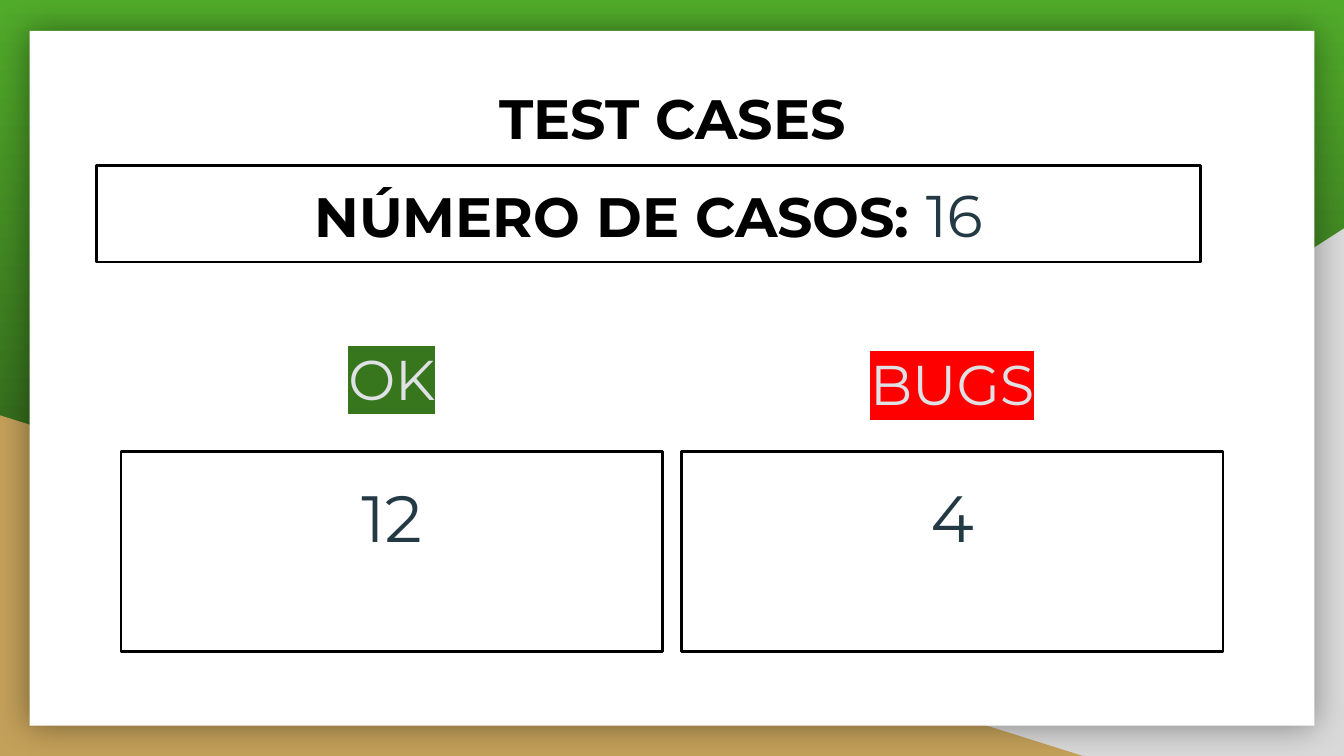
from dataclasses import dataclass

from lxml import etree
from pptx import Presentation
from pptx.dml.color import RGBColor
from pptx.enum.shapes import MSO_SHAPE
from pptx.enum.text import MSO_ANCHOR, MSO_AUTO_SIZE, PP_ALIGN
from pptx.oxml.ns import qn
from pptx.shapes.autoshape import Shape
from pptx.slide import Slide
from pptx.text.text import Font
from pptx.util import Inches, Pt

RECTANGLE = MSO_SHAPE.RECTANGLE
RIGHT_TRIANGLE = MSO_SHAPE.RIGHT_TRIANGLE
TOP, MIDDLE = MSO_ANCHOR.TOP, MSO_ANCHOR.MIDDLE
CENTER = PP_ALIGN.CENTER
NO_AUTOFIT = MSO_AUTO_SIZE.NONE


@dataclass(frozen=True)
class Theme:
    font: str = "Montserrat"
    green_top: str = "51AB2A"
    green_bottom: str = "203E13"
    gray: str = "D9D9D9"
    tan: str = "C4A15A"
    white: str = "FFFFFF"
    black: str = "000000"
    number: str = "233A44"
    label: str = "E0E1E5"
    ok: str = "38761D"
    bugs: str = "FF0000"
    heading_size: float = 29.7
    label_size: float = 30
    total_size: float = 31.5
    count_size: float = 35
    outline_width: float = 1.5


@dataclass(frozen=True)
class Box:
    left: float
    top: float
    width: float
    height: float


@dataclass(frozen=True)
class Result:
    label: str
    count: str
    highlight: str
    left: float
    label_top: float


THEME = Theme()
SLIDE_WIDTH = 10
SLIDE_HEIGHT = SLIDE_WIDTH * 9 / 16
ROW_HEIGHT = 0.72
HEADING_WIDTH = 8.21
RESULT_WIDTH = 4.03
COUNT_TOP, COUNT_HEIGHT = 3.36, 1.49
RESULTS = (
    Result("OK", "12", THEME.ok, 0.9, 2.45),
    Result("BUGS", "4", THEME.bugs, 5.07, 2.49),
)


def rgb(color: str) -> RGBColor:
    return RGBColor.from_string(color)


def style(font: Font, size: float, color: str, bold: bool = False) -> None:
    font.name = THEME.font
    font.size = Pt(size)
    font.bold = bold
    font.color.rgb = rgb(color)


def place(shape: Shape, box: Box) -> None:
    shape.left, shape.top = Inches(box.left), Inches(box.top)
    shape.width, shape.height = Inches(box.width), Inches(box.height)


def prepare_text(shape: Shape, anchor: MSO_ANCHOR = MIDDLE) -> None:
    frame = shape.text_frame
    frame.word_wrap = True
    frame.auto_size = NO_AUTOFIT
    frame.vertical_anchor = anchor
    frame.margin_left = frame.margin_right = Inches(0.1)
    frame.margin_top = frame.margin_bottom = Inches(0.1)
    frame.paragraphs[0].alignment = CENTER


def add_filled(slide: Slide, kind: MSO_SHAPE, box: Box, color: str) -> Shape:
    shape = slide.shapes.add_shape(kind, 0, 0, 0, 0)
    place(shape, box)
    shape.shadow.inherit = False
    shape.fill.solid()
    shape.fill.fore_color.rgb = rgb(color)
    shape.line.fill.background()
    return shape


def add_outlined(slide: Slide, box: Box, anchor: MSO_ANCHOR = MIDDLE) -> Shape:
    shape = slide.shapes.add_shape(RECTANGLE, 0, 0, 0, 0)
    place(shape, box)
    shape.shadow.inherit = False
    shape.fill.background()
    shape.line.color.rgb = rgb(THEME.black)
    shape.line.width = Pt(THEME.outline_width)
    etree.SubElement(shape.element.spPr.find(qn("a:ln")), qn("a:round"))
    prepare_text(shape, anchor)
    return shape


def add_glow_shadow(shape: Shape) -> None:
    """Spread a soft shadow evenly around the shape."""
    effects = shape.element.spPr.find(qn("a:effectLst"))
    shadow = etree.SubElement(effects, qn("a:outerShdw"), blurRad=str(Pt(18)),
                              dist="0", dir="0", algn="ctr", rotWithShape="0")
    color = etree.SubElement(shadow, qn("a:srgbClr"), val=THEME.black)
    etree.SubElement(color, qn("a:alpha"), val="40000")


def draw_backdrop(slide: Slide) -> None:
    fill = slide.background.fill
    fill.gradient()
    fill.gradient_angle = 270
    for stop, color in zip(fill.gradient_stops, (THEME.green_top, THEME.green_bottom)):
        stop.color.rgb = rgb(color)
    gray_top, tan_top = 1.7, 3.09
    gray_corner = add_filled(slide, RIGHT_TRIANGLE,
                             Box(3.92, gray_top, 6.08, SLIDE_HEIGHT - gray_top), THEME.gray)
    gray_corner.element.spPr.find(qn("a:xfrm")).set("flipH", "1")
    add_filled(slide, RIGHT_TRIANGLE,
               Box(0, tan_top, 8.06, SLIDE_HEIGHT - tan_top), THEME.tan)
    panel = add_filled(slide, RECTANGLE, Box(0.22, 0.23, 9.56, 5.17), THEME.white)
    add_glow_shadow(panel)


def draw_title(slide: Slide) -> None:
    """Fill the title placeholder and bring it in front of the backdrop."""
    title = slide.shapes.title
    slide.shapes[-1].element.addnext(title.element)
    place(title, Box(0.9, 0.51, HEADING_WIDTH, ROW_HEIGHT))
    title.text_frame.text = "TEST CASES"
    prepare_text(title)
    style(title.text_frame.paragraphs[0].font, THEME.heading_size, THEME.black, bold=True)


def draw_total(slide: Slide) -> None:
    total = add_outlined(slide, Box(0.72, 1.23, HEADING_WIDTH, ROW_HEIGHT))
    paragraph = total.text_frame.paragraphs[0]
    caption, number = paragraph.add_run(), paragraph.add_run()
    caption.text, number.text = "NÚMERO DE CASOS: ", "16"
    style(caption.font, THEME.heading_size, THEME.black, bold=True)
    style(number.font, THEME.total_size, THEME.number)


def draw_count(slide: Slide, result: Result) -> None:
    count = add_outlined(
        slide, Box(result.left, COUNT_TOP, RESULT_WIDTH, COUNT_HEIGHT), TOP)
    paragraph = count.text_frame.paragraphs[0]
    paragraph.add_run().text = result.count
    paragraph.line_spacing = 1.15
    paragraph.space_after = Pt(12)
    style(paragraph.font, THEME.count_size, THEME.number)


def draw_label(slide: Slide, result: Result) -> None:
    label = slide.shapes.add_textbox(0, 0, 0, 0)
    place(label, Box(result.left, result.label_top, RESULT_WIDTH, ROW_HEIGHT))
    prepare_text(label)
    paragraph = label.text_frame.paragraphs[0]
    style(paragraph.font, THEME.label_size, THEME.label)
    run = paragraph.add_run()
    run.text = result.label
    highlight = etree.SubElement(run._r.get_or_add_rPr(), qn("a:highlight"))
    etree.SubElement(highlight, qn("a:srgbClr"), val=result.highlight)


def main() -> None:
    presentation = Presentation()
    presentation.slide_width = Inches(SLIDE_WIDTH)
    presentation.slide_height = Inches(SLIDE_HEIGHT)
    slide = presentation.slides.add_slide(presentation.slide_layouts[5])
    draw_backdrop(slide)
    draw_title(slide)
    for result in RESULTS:
        draw_count(slide, result)
    for result in RESULTS:
        draw_label(slide, result)
    draw_total(slide)
    presentation.save("out.pptx")


if __name__ == "__main__":
    main()
